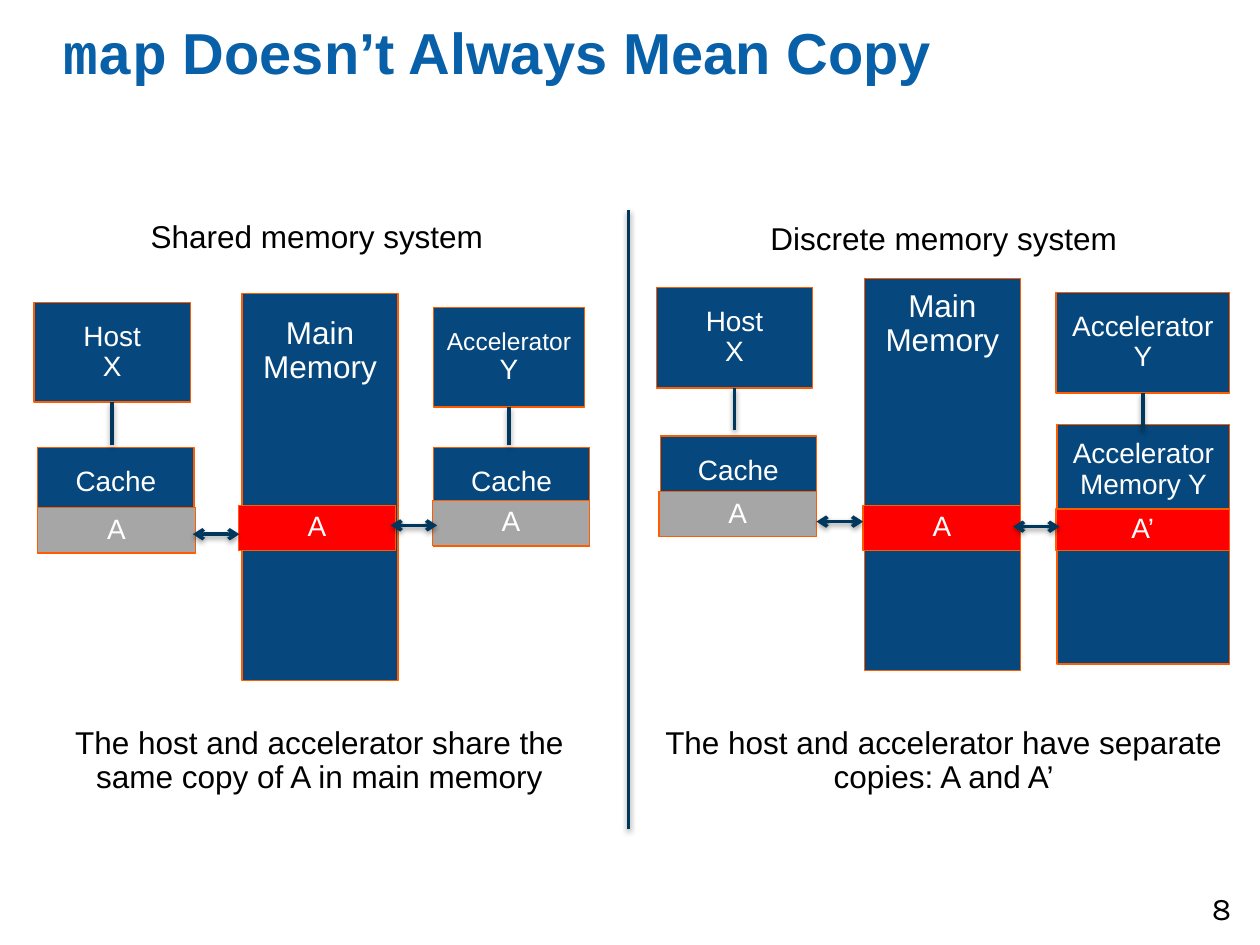
from lxml import etree
from pptx import Presentation
from pptx.dml.color import RGBColor
from pptx.enum.shapes import MSO_CONNECTOR, MSO_SHAPE
from pptx.enum.text import MSO_ANCHOR, PP_ALIGN
from pptx.oxml import parse_xml
from pptx.oxml.ns import nsdecls, qn
from pptx.util import Inches, Pt

COLORS = {
    "title": "0860A8", "unit": "06487E", "edge": "FF5C00", "link": "00385D",
    "cached": "A6A6A6", "mapped": "FF0000", "white": "FFFFFF", "black": "000000",
}
SHADOW = (
    f'<a:effectLst {nsdecls("a")}><a:outerShdw blurRad="39400" dist="20300" '
    'dir="5400000" rotWithShape="0"><a:srgbClr val="000000">'
    '<a:alpha val="38000"/></a:srgbClr></a:outerShdw></a:effectLst>'
)


def write(box, lines, size=18, color="black", font="Arial", bold=False,
          align=PP_ALIGN.CENTER, anchor=MSO_ANCHOR.TOP, spacing=0.9,
          margins=(0.1, 0.05, 0.1, 0.05), wrap=True):
    """Fill a shape; each line is a list of (text, overrides) spans."""
    frame = box.text_frame
    frame.word_wrap = wrap
    frame.vertical_anchor = anchor
    (frame.margin_left, frame.margin_top,
     frame.margin_right, frame.margin_bottom) = map(Inches, margins)
    for index, line in enumerate(lines):
        para = frame.add_paragraph() if index else frame.paragraphs[0]
        para.alignment = align
        para.line_spacing = spacing
        for text, changes in line:
            span = para.add_run()
            span.text = text
            span.font.name = changes.get("font", font)
            span.font.size = Pt(changes.get("size", size))
            span.font.bold = bold
            span.font.color.rgb = RGBColor.from_string(COLORS[color])


def link(start, end, arrows=False):
    """Draw a shadowed line, optionally with an arrowhead at both ends."""
    line = page.shapes.add_connector(MSO_CONNECTOR.STRAIGHT, *map(Inches, start + end))
    line.line.width = Pt(2)
    line.line.color.rgb = RGBColor.from_string(COLORS["link"])
    if arrows:
        stroke = line.line._get_or_add_ln()
        for tag in ("a:headEnd", "a:tailEnd"):
            etree.SubElement(stroke, qn(tag), type="arrow")
    line._element.spPr.append(parse_xml(SHADOW))
    return line


deck = Presentation()
deck.slide_width, deck.slide_height = Inches(10), Inches(7.5)
page = deck.slides.add_slide(deck.slide_layouts[6])

# Title
title = page.shapes.add_textbox(*map(Inches, (0.5, 0.13, 9.01, 0.97)))
write(title, [[("map", {"font": "Courier New"}), (" Doesn’t Always Mean Copy", {})]],
      size=33, color="title", bold=True, align=PP_ALIGN.LEFT, spacing=1.0,
      margins=(0, 0, 0, 0))

# Hardware units and the copies of A: place, lines, fill, size, top margin
# A top margin sets the label at the top; without one it is centred.
units = {
    "accelerator memory": ((8.39, 3.37, 1.37, 1.9), ["Accelerator", "Memory Y"], "unit", 16, 0.12),
    "shared host": ((0.27, 2.4, 1.24, 0.79), ["Host", "X"], "unit", 16, None),
    "shared host cache": ((0.3, 3.55, 1.24, 0.79), ["Cache"], "unit", 16, 0.16),
    "shared accelerator": ((3.44, 2.44, 1.2, 0.79), ["Accelerator", "Y"], "unit", 16, None),
    "shared accelerator cache": ((3.44, 3.55, 1.24, 0.79), ["Cache"], "unit", 16, 0.16),
    "shared main memory": ((1.92, 2.33, 1.24, 3.07), ["Main", "Memory"], "unit", 18, 0.19),
    "discrete host": ((5.21, 2.28, 1.24, 0.8), ["Host", "X"], "unit", 16, None),
    "discrete host cache": ((5.24, 3.46, 1.24, 0.79), ["Cache"], "unit", 16, 0.16),
    "discrete accelerator": ((8.38, 2.32, 1.38, 0.8), ["Accelerator", "Y"], "unit", 16, None),
    "discrete main memory": ((6.86, 2.21, 1.24, 3.11), ["Main", "Memory"], "unit", 18, 0.09),
    "shared host copy": ((0.3, 4.03, 1.25, 0.36), ["A"], "cached", 16, None),
    "shared main copy": ((1.89, 4.01, 1.25, 0.36), ["A"], "mapped", 16, None),
    "shared accelerator copy": ((3.43, 3.97, 1.25, 0.36), ["A"], "cached", 16, None),
    "discrete host copy": ((5.23, 3.9, 1.25, 0.36), ["A"], "cached", 16, None),
    "discrete main copy": ((6.85, 4.01, 1.25, 0.36), ["A"], "mapped", 16, None),
    "discrete accelerator copy": ((8.38, 4.04, 1.38, 0.33), ["A’"], "mapped", 16, None),
}
boxes = {}
for name, (place, labels, fill, size, top) in units.items():
    box = page.shapes.add_shape(MSO_SHAPE.RECTANGLE, *map(Inches, place))
    box.shadow.inherit = False
    box.fill.solid()
    box.fill.fore_color.rgb = RGBColor.from_string(COLORS[fill])
    box.line.color.rgb = RGBColor.from_string(COLORS["edge"])
    box.line.width = Pt(0.75)
    lines = [[(label, {})] for label in labels]
    if name == "shared accelerator":
        lines[0] = [(labels[0], {"size": 14})]
    write(box, lines, size=size, color="white",
          anchor=MSO_ANCHOR.TOP if top else MSO_ANCHOR.MIDDLE,
          margins=(0.05, top or 0.05, 0.05, 0.05))
    boxes[name] = box

# Divider between the two systems
link((4.99, 1.67), (4.99, 6.58))

# Lines from each processor down to its memory
for name, x, top, bottom in [
    ("shared accelerator", 4.04, 3.23, 3.53),
    ("shared host", 0.89, 3.19, 3.53),
    ("discrete host", 5.83, 3.08, 3.41),
    ("discrete accelerator", 9.07, 3.12, 3.42),
]:
    link((x, top), (x, bottom)).begin_connect(boxes[name], 2)

# Arrows between the copies of A
for left, y in [(3.1, 4.17), (1.53, 4.24), (6.48, 4.14), (8.04, 4.18)]:
    link((left, y), (left + 0.37, y), arrows=True)

# Headings and captions
for place, labels, wrap in [
    ((1.08, 1.71, 2.87, 0.37), ["Shared memory system"], False),
    ((6, 1.72, 2.98, 0.37), ["Discrete memory system"], False),
    ((0.42, 5.72, 4.23, 0.65),
     ["The host and accelerator share the same copy of A in main memory"], True),
    ((5.16, 5.72, 4.66, 0.65),
     ["The host and accelerator have separate", "copies: A and A’"], False),
]:
    caption = page.shapes.add_textbox(*map(Inches, place))
    write(caption, [[(label, {})] for label in labels], wrap=wrap)

# Page number
number = page.shapes.add_textbox(*map(Inches, (9.09, 7.01, 0.78, 0.45)))
write(number, [[("8", {})]], font="Karla", align=PP_ALIGN.RIGHT, spacing=1.0)

deck.save("out.pptx")
